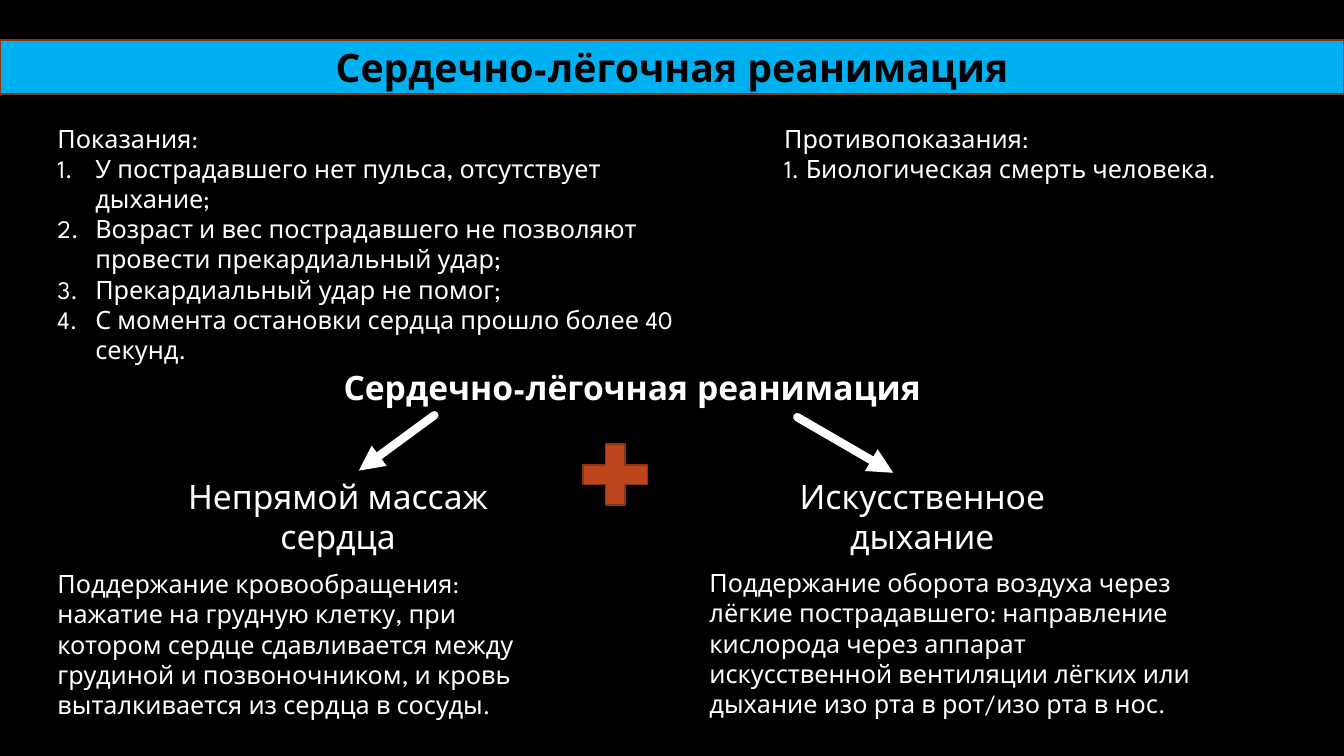
from dataclasses import dataclass

from lxml.etree import SubElement
from pptx import Presentation
from pptx.dml.color import RGBColor
from pptx.enum.shapes import MSO_CONNECTOR, MSO_SHAPE
from pptx.enum.text import MSO_ANCHOR, MSO_AUTO_SIZE, PP_ALIGN
from pptx.oxml.ns import qn
from pptx.util import Pt


@dataclass(frozen=True)
class Theme:
    """Colours, font and type sizes of the slide."""

    background: RGBColor = RGBColor(0x00, 0x00, 0x00)
    band: RGBColor = RGBColor(0x00, 0xB0, 0xF0)
    plus: RGBColor = RGBColor(0xBC, 0x45, 0x1B)
    outline: RGBColor = RGBColor(0x8B, 0x33, 0x14)
    light: RGBColor = RGBColor(0xFF, 0xFF, 0xFF)
    dark: RGBColor = RGBColor(0x00, 0x00, 0x00)
    font: str = "League Spartan"
    title: float = 28
    heading: float = 24
    body: float = 18


THEME = Theme()
TOPIC = "Сердечно-лёгочная реанимация"
INDICATIONS = [
    "У пострадавшего нет пульса, отсутствует дыхание;",
    "Возраст и вес пострадавшего не позволяют провести прекардиальный удар;",
    "Прекардиальный удар не помог;",
    "С момента остановки сердца прошло более 40 секунд.",
]
MASSAGE = (
    "Поддержание кровообращения: нажатие на грудную клетку, при котором сердце "
    "сдавливается между грудиной и позвоночником, и кровь выталкивается из сердца в сосуды."
)
BREATHING = (
    "Поддержание оборота воздуха через лёгкие пострадавшего: направление кислорода "
    "через аппарат искусственной вентиляции лёгких или дыхание изо рта в рот/изо рта в нос."
)


def number_paragraph(paragraph):
    """Give a paragraph automatic numbering with a hanging indent."""
    properties = paragraph._p.get_or_add_pPr()
    properties.set("marL", str(Pt(27)))
    properties.set("indent", str(-Pt(27)))
    SubElement(properties, qn("a:buFont"), typeface="+mj-lt")
    SubElement(properties, qn("a:buAutoNum"), type="arabicPeriod")


def write(frame, lines, size=THEME.body, color=THEME.light, bold=False,
          align=PP_ALIGN.LEFT, numbered=False):
    """Fill a text frame, numbering all lines after the first on request."""
    frame.word_wrap = True
    for index, line in enumerate(lines):
        paragraph = frame.paragraphs[0] if index == 0 else frame.add_paragraph()
        paragraph.alignment = align
        if numbered and index:
            number_paragraph(paragraph)
        run = paragraph.add_run()
        run.text = line
        run.font.name = THEME.font
        run.font.size = Pt(size)
        run.font.bold = bold
        run.font.color.rgb = color


def add_text(slide, box, lines, **text_format):
    """Add a text box that grows with its text."""
    frame = slide.shapes.add_textbox(*map(Pt, box)).text_frame
    frame.auto_size = MSO_AUTO_SIZE.SHAPE_TO_FIT_TEXT
    write(frame, lines, **text_format)


def add_figure(slide, kind, box, fill):
    """Add a filled preset shape with the theme outline."""
    figure = slide.shapes.add_shape(kind, *map(Pt, box))
    figure.shadow.inherit = False
    figure.fill.solid()
    figure.fill.fore_color.rgb = fill
    figure.line.color.rgb = THEME.outline
    figure.line.width = Pt(1.25)
    return figure


def add_arrow(slide, start, end):
    """Add a thick, round-capped line with a triangular head."""
    arrow = slide.shapes.add_connector(MSO_CONNECTOR.STRAIGHT, *map(Pt, start + end))
    arrow.line.color.rgb = THEME.light
    arrow.line.width = Pt(6)
    stroke = arrow.line._get_or_add_ln()
    stroke.set("cap", "rnd")
    SubElement(stroke, qn("a:tailEnd"), type="triangle")
    SubElement(arrow._element.spPr, qn("a:effectLst"))


def main():
    """Build and save the resuscitation slide."""
    presentation = Presentation()
    presentation.slide_width, presentation.slide_height = Pt(960), Pt(540)
    slide = presentation.slides.add_slide(presentation.slide_layouts[6])
    slide.background.fill.solid()
    slide.background.fill.fore_color.rgb = THEME.background

    band = add_figure(slide, MSO_SHAPE.RECTANGLE, (0, 28.8, 960, 38.2), THEME.band)
    band.text_frame.vertical_anchor = MSO_ANCHOR.MIDDLE
    write(band.text_frame, [TOPIC], size=THEME.title, color=THEME.dark, bold=True,
          align=PP_ALIGN.CENTER)

    add_text(slide, (34, 84.2, 465, 181.4), ["Показания:", *INDICATIONS], numbered=True)
    add_text(slide, (553, 84.2, 364.3, 51),
             ["Противопоказания:", "1. Биологическая смерть человека."])
    add_text(slide, (238.3, 258.5, 445.7, 36), [TOPIC], size=THEME.heading, bold=True)

    for left, width, heading in (
        (113, 257, "Непрямой массаж сердца"),
        (553, 211.7, "Искусственное дыхание"),
    ):
        add_text(slide, (left, 336.2, width, 65.5), [heading], size=THEME.heading,
                 align=PP_ALIGN.CENTER)

    add_arrow(slide, (310.3, 296.6), (256.3, 336.2))
    add_arrow(slide, (569.5, 298), (638, 337.7))

    for left, top, description in ((34, 402.5, MASSAGE), (499.7, 401.8, BREATHING)):
        add_text(slide, (left, top, 370.5, 116.6), [description])

    add_figure(slide, MSO_SHAPE.MATH_PLUS, (408.2, 309.6, 62.6, 59), THEME.plus)
    presentation.save("out.pptx")


if __name__ == "__main__":
    main()
